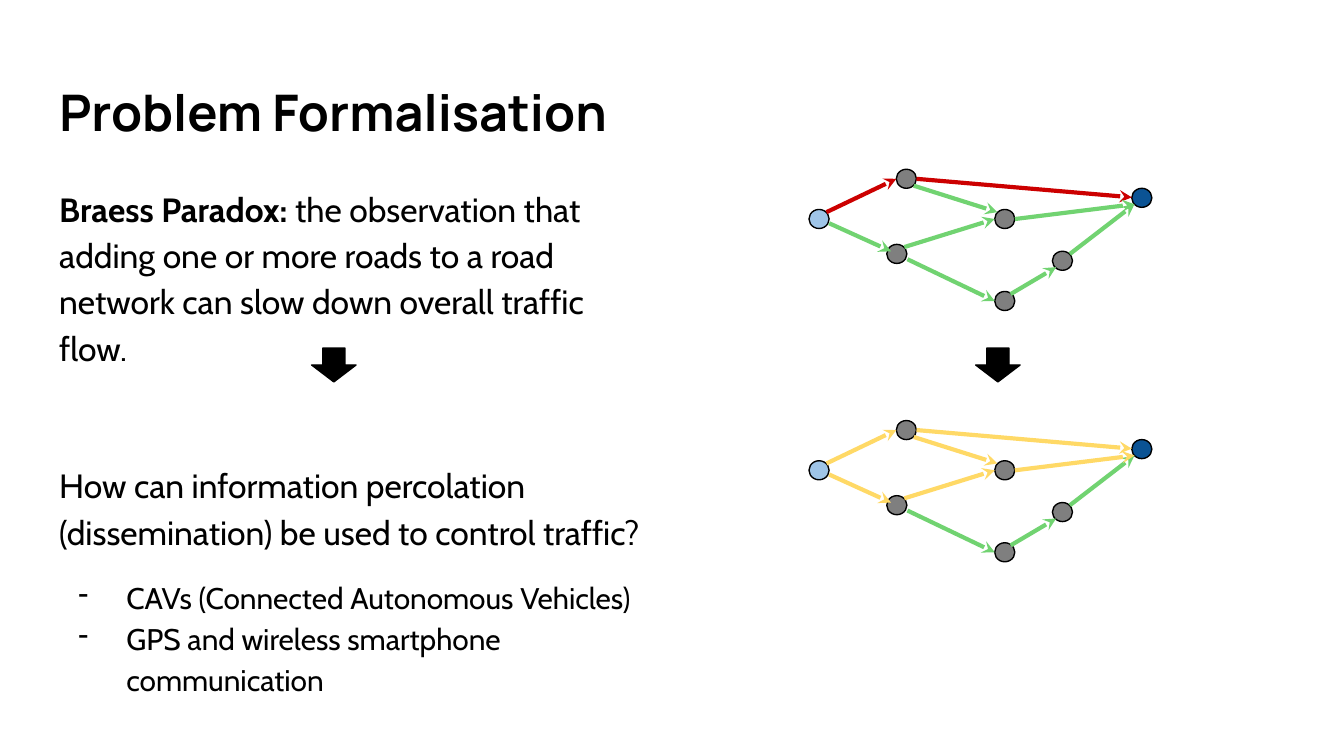
from dataclasses import dataclass

from lxml import etree
from pptx import Presentation
from pptx.dml.color import RGBColor
from pptx.enum import shapes, text
from pptx.oxml.ns import qn
from pptx.util import Cm, Pt

BLACK = RGBColor(0x00, 0x00, 0x00)
GREY = RGBColor(0x7F, 0x7F, 0x7F)
LIGHT_BLUE = RGBColor(0x9F, 0xC5, 0xE8)
DARK_BLUE = RGBColor(0x0B, 0x53, 0x94)
GREEN = RGBColor(0x71, 0xD3, 0x71)
RED = RGBColor(0xCC, 0x00, 0x00)
YELLOW = RGBColor(0xFF, 0xD9, 0x66)

NODE_WIDTH, NODE_HEIGHT = 0.38, 0.36
NETWORK_GAP = 4.75


@dataclass
class Node:
    left: float
    top: float
    color: RGBColor = GREY


@dataclass
class Road:
    start: tuple[float, float]
    end: tuple[float, float]
    before: RGBColor = GREEN
    after: RGBColor = YELLOW


@dataclass
class Statement:
    words: str
    size: int = 18
    space_before: int = 0
    lead: str = ""
    dashed: bool = False


NODES = [
    Node(15.29, 3.96, LIGHT_BLUE),
    Node(16.76, 4.62),
    Node(21.39, 3.56, DARK_BLUE),
    Node(18.8, 3.96),
    Node(16.94, 3.2),
    Node(18.8, 5.51),
    Node(19.89, 4.75),
]

ROADS = [
    Road((15.67, 4.22), (16.84, 4.75)),
    Road((17.15, 4.9), (18.8, 5.69), after=GREEN),
    Road((19.1, 5.56), (19.96, 5.05), after=GREEN),
    Road((20.22, 4.8), (21.44, 3.86), after=GREEN),
    Road((17.32, 3.38), (21.39, 3.73), before=RED),
    Road((17.09, 4.67), (18.8, 4.14)),
    Road((19.18, 4.14), (21.44, 3.86)),
    Road((17.27, 3.51), (18.85, 4.01)),
    Road((15.62, 4.01), (16.94, 3.38), before=RED),
]

STATEMENTS = [
    Statement("the observation that adding one or more roads to a road network "
              "can slow down overall traffic flow.", lead="Braess Paradox: "),
    Statement("How can information percolation (dissemination) be used to "
              "control traffic?", space_before=49),
    Statement("CAVs (Connected Autonomous Vehicles)", 16, 12, dashed=True),
    Statement("GPS and wireless smartphone communication", 16, dashed=True),
]


def set_margins(frame) -> None:
    frame.margin_left = frame.margin_right = Cm(0.25)
    frame.margin_top = frame.margin_bottom = Cm(0.25)
    frame.word_wrap = True


def add_title(slide, words: str) -> None:
    title = slide.shapes.title
    title.left, title.top = Cm(0.87), Cm(1.24)
    title.width, title.height = Cm(23.67), Cm(1.73)
    frame = title.text_frame
    frame.text = words
    set_margins(frame)
    frame.vertical_anchor = text.MSO_ANCHOR.MIDDLE
    frame.paragraphs[0].alignment = text.PP_ALIGN.LEFT
    font = frame.paragraphs[0].runs[0].font
    font.name, font.size, font.bold = "Manrope", Pt(27), True
    font.color.rgb = BLACK


def add_dash(paragraph) -> None:
    properties = paragraph._p.get_or_add_pPr()
    properties.set("marL", str(Cm(1.27)))
    properties.set("indent", str(-Cm(0.91)))
    etree.SubElement(properties, qn("a:buChar"), char="-")


def add_statements(slide, statements: list[Statement]) -> None:
    box = slide.shapes.add_textbox(Cm(0.87), Cm(3.2), Cm(11.83), Cm(9.5))
    frame = box.text_frame
    set_margins(frame)
    for index, statement in enumerate(statements):
        paragraph = frame.add_paragraph() if index else frame.paragraphs[0]
        paragraph.line_spacing = 1.15
        if statement.space_before:
            paragraph.space_before = Pt(statement.space_before)
        if statement.dashed:
            add_dash(paragraph)
        for words, bold in ((statement.lead, True), (statement.words, False)):
            if words:
                run = paragraph.add_run()
                run.text = words
                run.font.name, run.font.bold = "Cabin", bold
                run.font.size = Pt(statement.size)
                run.font.color.rgb = BLACK


def add_outlined(slide, kind, left: float, top: float, width: float,
                 height: float, color: RGBColor) -> None:
    """Draw a filled preset shape with a thin black outline."""
    shape = slide.shapes.add_shape(kind, Cm(left), Cm(top), Cm(width), Cm(height))
    shape.shadow.inherit = False
    shape.fill.solid()
    shape.fill.fore_color.rgb = color
    shape.line.color.rgb = BLACK
    shape.line.width = Pt(0.75)


def add_road(slide, road: Road, color: RGBColor, drop: float) -> None:
    (x1, y1), (x2, y2) = road.start, road.end
    arrow = slide.shapes.add_connector(
        shapes.MSO_CONNECTOR.STRAIGHT, Cm(x1), Cm(y1 + drop), Cm(x2), Cm(y2 + drop))
    arrow.line.color.rgb = color
    arrow.line.width = Pt(2.25)
    etree.SubElement(arrow.line._get_or_add_ln(), qn("a:tailEnd"), type="stealth")
    etree.SubElement(arrow._element.spPr, qn("a:effectLst"))


def add_network(slide, colors: list[RGBColor], drop: float) -> None:
    for node in NODES:
        add_outlined(slide, shapes.MSO_SHAPE.OVAL, node.left, node.top + drop,
                     NODE_WIDTH, NODE_HEIGHT, node.color)
    for road, color in zip(ROADS, colors):
        add_road(slide, road, color, drop)


def main() -> None:
    deck = Presentation()
    deck.slide_width, deck.slide_height = Cm(25.4), Cm(14.29)
    slide = deck.slides.add_slide(deck.slide_layouts[5])
    add_title(slide, "Problem Formalisation")
    add_statements(slide, STATEMENTS)
    add_network(slide, [road.before for road in ROADS], 0)
    add_network(slide, [road.after for road in ROADS], NETWORK_GAP)
    for left in (5.89, 18.44):
        add_outlined(slide, shapes.MSO_SHAPE.DOWN_ARROW, left, 6.58, 0.84, 0.64, BLACK)
    deck.save("out.pptx")


if __name__ == "__main__":
    main()
